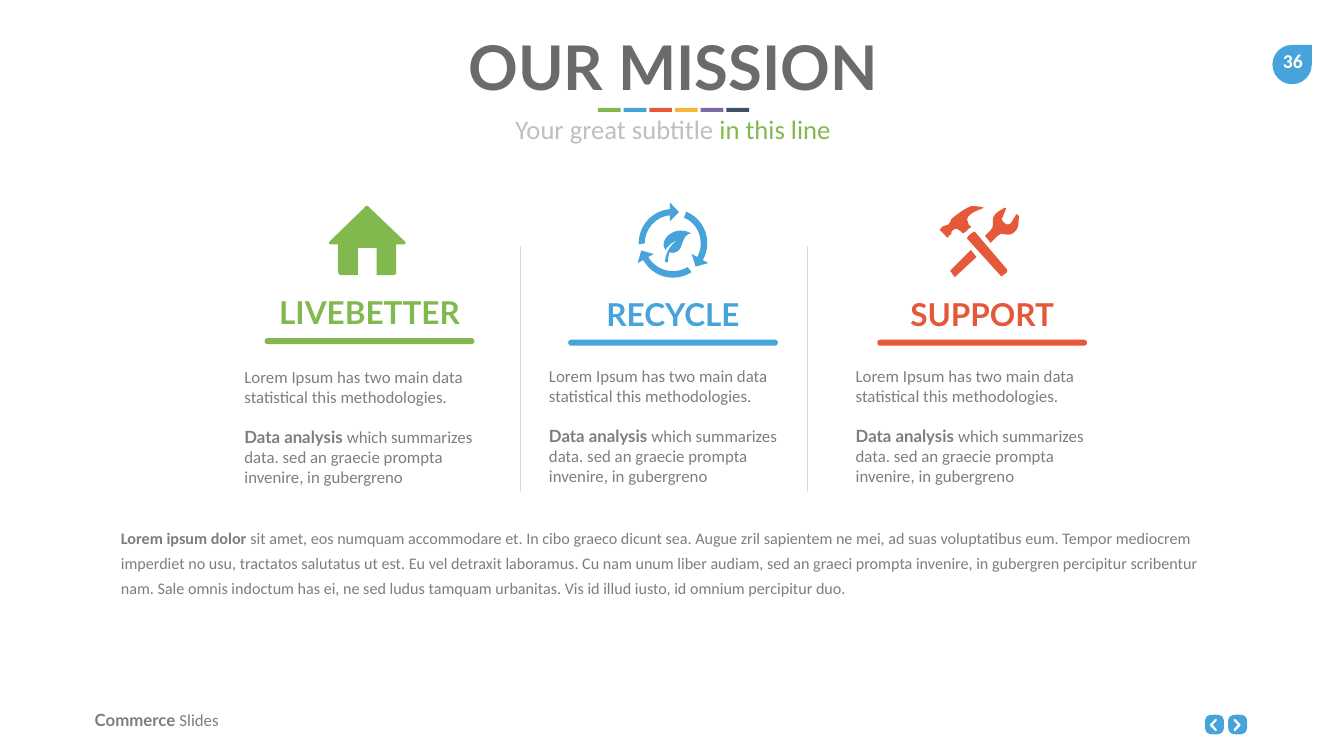
from pptx import Presentation
from pptx.util import Pt
from pptx.dml.color import RGBColor
from pptx.enum.dml import MSO_LINE
from pptx.enum.shapes import MSO_CONNECTOR, MSO_SHAPE
from pptx.enum.text import MSO_ANCHOR, MSO_AUTO_SIZE, PP_ALIGN
from pptx.oxml.ns import qn
from lxml import etree

LEFT, MID = PP_ALIGN.LEFT, PP_ALIGN.CENTER
RECT, PILL, DROP = MSO_SHAPE.RECTANGLE, MSO_SHAPE.ROUNDED_RECTANGLE, MSO_SHAPE.TEAR
TOP, GROW = MSO_ANCHOR.TOP, MSO_AUTO_SIZE.SHAPE_TO_FIT_TEXT

THEME = {
    "green": "81B94F", "blue": "46A4DB", "red": "E5583A", "gold": "F9B439",
    "plum": "7C69A8", "navy": "404F64", "text": "7E7E7E", "dark": "6B6B6B",
    "pale": "BFBFBF", "rule": "D9D9D9", "white": "FFFFFF",
    "head": "Lato", "body": "Calibri",
    "title": 88, "label": 45, "sub": 38, "page": 28, "copy": 24, "note": 23,
}

# Content: a run is (text, font, colour, bold)
TITLE = [("OUR MISSION", "head", "dark", True)]
SUB = [("Your great subtitle ", "body", "pale", False),
       ("in this line", "body", "green", False)]
PAGE = [("36", "body", "white", True)]
FOOT = [("Commerce ", "head", "text", True), ("Slides", "body", "text", False)]
COPY = [
    [("Lorem Ipsum has two main data statistical this methodologies.",
      "body", "text", False)],
    [("Data analysis ", "head", "text", True),
     ("which summarizes data. sed an graecie prompta invenire, in gubergreno",
      "body", "text", False)],
]
NOTE = [
    ("Lorem ipsum dolor ", "body", "text", True),
    ("sit amet, eos numquam accommodare et. In cibo graeco dicunt sea. Augue zril "
     "sapientem ne mei, ad suas voluptatibus eum. Tempor mediocrem imperdiet no usu, "
     "tractatos salutatus ut est. Eu vel detraxit laboramus. Cu nam unum liber audiam, "
     "sed an graeci prompta invenire, in gubergren percipitur scribentur nam. Sale omnis "
     "indoctum has ei, ne sed ludus tamquam urbanitas. Vis id illud iusto, id omnium "
     "percipitur duo.", "body", "text", False),
]
STRIPES = ["green", "blue", "red", "gold", "plum", "navy"]

# Outlines in hundredths of an inch: a pair is a corner, six numbers a curve
HOUSE = [[
    (154, 73), (84, 6), (81, 0, 75, 0, 72, 6), (3, 73), (0, 75, 3, 78, 6, 78),
    (21, 78), (21, 133), (21, 136, 21, 139, 27, 139), (60, 139), (60, 85), (97, 85),
    (97, 139), (130, 139), (136, 139, 136, 136, 136, 133), (136, 78), (151, 78),
    (154, 78, 157, 75, 154, 73)]]
CYCLE = [
    [(140, 120), (115, 127), (107, 102), (118, 108), (123, 100, 125, 90, 125, 81),
     (125, 58, 112, 38, 92, 30), (96, 18), (121, 28, 138, 52, 138, 81),
     (138, 93, 135, 104, 129, 114)],
    [(70, 136), (49, 136, 31, 125, 21, 108), (32, 102), (7, 95), (0, 120), (11, 114),
     (23, 135, 44, 149, 70, 149), (83, 149, 96, 145, 107, 138), (99, 128),
     (91, 133, 81, 136, 70, 136)],
    [(14, 81), (14, 52, 36, 28, 64, 25), (64, 37), (82, 19), (64, 0), (64, 13),
     (29, 16, 2, 45, 2, 81), (2, 83)],
    [(52, 78), (50, 83, 51, 89, 55, 94), (60, 85, 71, 77, 78, 75),
     (63, 86, 55, 101, 54, 118), (60, 118), (60, 111, 61, 103, 63, 99),
     (69, 101, 75, 100, 80, 96), (91, 87, 87, 64, 106, 61), (81, 47, 57, 62, 52, 78)]]
TOOLS = [
    [(25, 48), (30, 42, 36, 45, 44, 53), (47, 56, 47, 53, 47, 53),
     (50, 53, 58, 42, 61, 42), (61, 40), (58, 40, 56, 37, 56, 34),
     (41, 14, 94, 3, 86, 3), (80, 0, 64, 0, 61, 0), (53, 3, 39, 12, 33, 17),
     (25, 23, 22, 26, 22, 26), (19, 28, 22, 34, 16, 37), (11, 40, 8, 37, 5, 40),
     (5, 42, 3, 42, 0, 45), (0, 48), (11, 59), (11, 62, 13, 62, 16, 62),
     (16, 59, 19, 56, 22, 56), (22, 56, 22, 48, 25, 48)],
    [(69, 51), (66, 51), (56, 59), (53, 62, 53, 62, 53, 64), (119, 137),
     (119, 140, 122, 140, 125, 137), (133, 131), (133, 128, 133, 126, 133, 126)],
    [(156, 20), (153, 14, 153, 17, 150, 17), (150, 20, 144, 26, 144, 28),
     (141, 34, 136, 40, 128, 34), (119, 26, 122, 23, 125, 20),
     (125, 17, 130, 9, 130, 6), (133, 6, 130, 3, 128, 3), (125, 6, 108, 12, 105, 23),
     (103, 31, 108, 40, 100, 48), (89, 59), (100, 73), (114, 59),
     (116, 56, 122, 53, 128, 56), (141, 59, 147, 53, 153, 45),
     (156, 37, 156, 23, 156, 20)],
    [(22, 126), (19, 128, 19, 131, 22, 131), (28, 140), (30, 140, 33, 140, 33, 137),
     (72, 101), (61, 87)]]
BUTTON = [[(19, 0), (3, 0, 0, 3, 0, 19), (0, 35, 3, 39, 19, 39),
           (35, 39, 38, 35, 38, 19), (38, 3, 35, 0, 19, 0)]]
BACK = [[(13, 21), (14, 22, 14, 23, 13, 24), (12, 24, 11, 24, 10, 24), (0, 14),
         (0, 13, 0, 12, 0, 11), (10, 1), (11, 0, 12, 0, 13, 1),
         (14, 2, 14, 3, 13, 4), (5, 12)]]
NEXT = [[tuple(14 - n if i % 2 == 0 else n for i, n in enumerate(seg))
         for seg in ring] for ring in BACK]

# Columns: label, colour, icon, icon place, bar place, copy box
COLUMNS = [
    ("LIVEBETTER", "green", HOUSE, (468, 293), (378, 483), (342, 520, 354)),
    ("RECYCLE", "blue", CYCLE, (910.8, 289.4), (811.5, 485.3), (777, 518.4, 369)),
    ("SUPPORT", "red", TOOLS, (1342.8, 294.5), (1253, 485.3), (1215, 518.4, 378)),
]
BAR_W, BAR_H, LABEL_H = 299.5, 8.6, 62

deck = Presentation()
deck.slide_width, deck.slide_height = Pt(1919.52), Pt(1080)
slide = deck.slides.add_slide(deck.slide_layouts[5])
shapes = slide.shapes


def tint(name):
    return RGBColor.from_string(THEME[name])


def paint(shape, color):
    shape.shadow.inherit = False
    shape.fill.solid()
    shape.fill.fore_color.rgb = tint(color)
    shape.line.fill.background()


def block(kind, x, y, w, h, color):
    shape = shapes.add_shape(kind, Pt(x), Pt(y), Pt(w), Pt(h))
    paint(shape, color)
    return shape


def write(box, paras, size, align=LEFT, wrap=True, gap=0, lead=None):
    frame = box.text_frame
    frame.word_wrap, frame.auto_size, frame.vertical_anchor = wrap, GROW, TOP
    for i, runs in enumerate(paras):
        para = frame.add_paragraph() if i else frame.paragraphs[0]
        para.alignment = align
        if i:
            para.space_before = Pt(gap)
        if lead:
            para.line_spacing = lead
        for text, face, color, bold in runs:
            run = para.add_run()
            run.text = text
            font = run.font
            font.name, font.size, font.bold = THEME[face], Pt(THEME[size]), bold
            font.color.rgb = tint(color)


def label(x, y, w, h, paras, size, **style):
    write(shapes.add_textbox(Pt(x), Pt(y), Pt(w), Pt(h)), paras, size, **style)


def icon(rings, x, y, color):
    unit = Pt(0.72)
    pen = shapes.build_freeform(*(n * unit for n in rings[0][0]), scale=1.0)
    for i, ring in enumerate(rings):
        if i:
            pen.move_to(*(n * unit for n in ring[0]))
        dots = [(seg[k] * unit, seg[k + 1] * unit)
                for seg in ring[1:] for k in range(0, len(seg), 2)]
        pen.add_line_segments(dots, close=True)
    shape = pen.convert_to_shape(Pt(x), Pt(y))
    # Join the three points of each curve into one Bezier step
    steps = iter(list(shape._element.iter(qn("a:lnTo"))))
    for seg in (seg for ring in rings for seg in ring[1:]):
        step = next(steps)
        if len(seg) == 6:
            step.tag = qn("a:cubicBezTo")
            for extra in (next(steps), next(steps)):
                step.append(extra[0])
                extra.getparent().remove(extra)
    paint(shape, color)


# Title, stripes and subtitle
title = shapes.title
title.left, title.top, title.width, title.height = Pt(136.8), Pt(38.2), Pt(1648.8), Pt(113.8)
write(title, [TITLE], "title", align=MID)
for i, color in enumerate(STRIPES):
    block(RECT, 853.9 + i * 36.72, 154.1, 32.4, 5.8, color)
label(136.8, 158.4, 1648.8, 53.3, [SUB], "sub", align=MID)

# Page number
block(DROP, 1817.3, 64.1, 56.2, 56.2, "blue")
label(1815.1, 66.5, 62.6, 48.2, [PAGE], "page", align=MID, wrap=False)

# Footer and arrow buttons
label(128.2, 1010.9, 288, 36, [FOOT], "copy")
for x, arrow in ((1720.8, BACK), (1753.9, NEXT)):
    icon(BUTTON, x, 1021, "blue")
    icon(arrow, x + 7.5, 1026.7, "white")

# Dividers
for x in (742.3, 1152.7):
    line = shapes.add_connector(MSO_CONNECTOR.STRAIGHT, Pt(x), Pt(351), Pt(x), Pt(702))
    line.line.color.rgb = tint("rule")
    line.line.width = Pt(0.5)
    line.line.dash_style = MSO_LINE.ROUND_DOT
    etree.SubElement(line._element.spPr, qn("a:effectLst"))

# Columns
for name, color, rings, spot, (x, y), (left, top, width) in COLUMNS:
    icon(rings, *spot, color)
    label(x, y - 67.5, BAR_W, LABEL_H, [[(name, "head", color, True)]], "label",
          align=MID, wrap=False)
    block(PILL, x, y, BAR_W, BAR_H, color).adjustments[0] = 0.5
    label(left, top, width, 181.4, COPY, "copy", gap=28.5)

# Closing paragraph
label(165.6, 742.5, 1591.2, 114.5, [NOTE], "note", lead=1.3)

deck.save("out.pptx")
